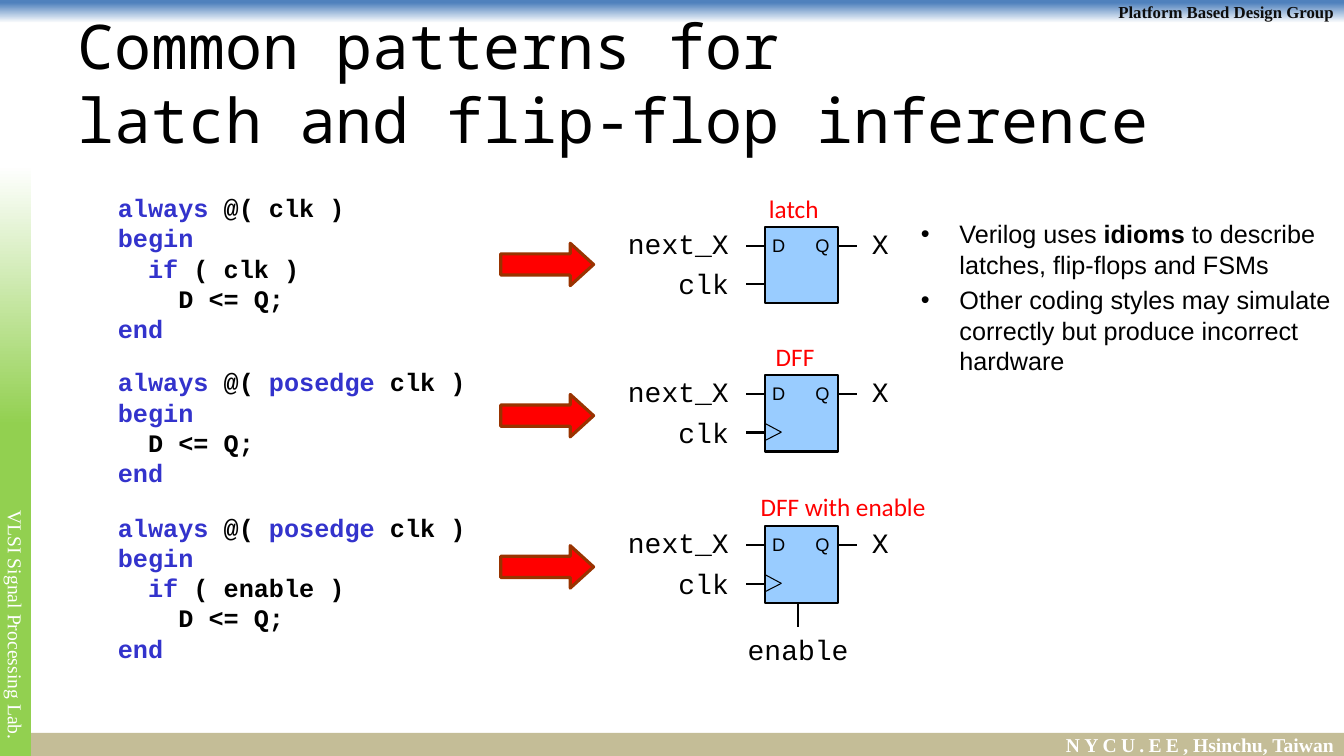
from lxml.etree import SubElement
from pptx import Presentation
from pptx.dml.color import RGBColor
from pptx.enum.shapes import MSO_CONNECTOR, MSO_SHAPE
from pptx.enum.text import MSO_ANCHOR, PP_ALIGN
from pptx.oxml.ns import qn
from pptx.util import Cm, Pt

BLACK = RGBColor(0x00, 0x00, 0x00)
INK = RGBColor(0x0D, 0x0D, 0x0D)
WHITE = RGBColor(0xFF, 0xFF, 0xFF)
BLUE = RGBColor(0x4F, 0x81, 0xBD)
GREEN = RGBColor(0x92, 0xD0, 0x50)
TAN = RGBColor(0xC4, 0xBD, 0x97)
KEYWORD = RGBColor(0x33, 0x33, 0xCC)
CELL = RGBColor(0x99, 0xCC, 0xFF)
RED = RGBColor(0xFF, 0x00, 0x00)
BROWN = RGBColor(0x99, 0x33, 0x00)
LEFT, CENTER, RIGHT = PP_ALIGN.LEFT, PP_ALIGN.CENTER, PP_ALIGN.RIGHT

prs = Presentation()
prs.slide_width, prs.slide_height = Cm(33.87), Cm(19.05)
s = prs.slides.add_slide(prs.slide_layouts[6])


def write(sp, lines, font, size, align=LEFT, wrap=False, inset=(0.25, 0.13, 0.25, 0.13)):
    """Fill a shape with paragraphs of (text, colour, bold) runs; None is a line break."""
    tf = sp.text_frame
    tf.word_wrap = wrap
    tf.margin_left, tf.margin_top, tf.margin_right, tf.margin_bottom = map(Cm, inset)
    for i, runs in enumerate(lines):
        p = tf.paragraphs[0] if i == 0 else tf.add_paragraph()
        p.alignment = align
        for run in runs:
            if run is None:
                p.add_line_break()
                continue
            r = p.add_run()
            r.text, color, bold = run
            r.font.name, r.font.size, r.font.bold = font, Pt(size), bold
            r.font.color.rgb = color
    return tf


def line(x1, y1, x2, y2, width=1.5):
    c = s.shapes.add_connector(MSO_CONNECTOR.STRAIGHT, Cm(x1), Cm(y1), Cm(x2), Cm(y2))
    c.line.color.rgb = BLACK
    c.line.width = Pt(width)
    SubElement(c._element.spPr, qn("a:effectLst"))


# Bars along the top, bottom and left edges
bars = []
for x, y, w, h in [(0, 0, 33.87, 0.58), (0, 18.47, 33.87, 0.58), (0, 4.17, 0.79, 14.88)]:
    sp = s.shapes.add_shape(MSO_SHAPE.RECTANGLE, Cm(x), Cm(y), Cm(w), Cm(h))
    sp.shadow.inherit = False
    sp.line.fill.background()
    sp.text_frame.vertical_anchor = MSO_ANCHOR.MIDDLE
    bars.append(sp)
top, bottom, side = bars

for sp, color, start, angle in [(top, BLUE, 0.12, 270), (side, GREEN, 0.56, 90)]:
    sp.fill.gradient()
    sp.fill.gradient_angle = angle
    first, last = sp.fill.gradient_stops
    first.color.rgb, first.position = color, start
    last.color.rgb, last.position = WHITE, 1
bottom.fill.solid()
bottom.fill.fore_color.rgb = TAN

write(top, [[("Platform Based Design Group", INK, True)]], "Times New Roman", 12, RIGHT, True)
tf = write(bottom, [[("NYCU.EE", WHITE, True), (", Hsinchu, Taiwan", WHITE, True)]],
           "Times New Roman", 14, RIGHT, True)
tf.paragraphs[0].runs[0]._r.get_or_add_rPr().set("spc", "300")
write(side, [[("VLSI Signal Processing Lab.", WHITE, False)]], "Times New Roman", 14,
      CENTER, True, (0.25, 8.41, 0.25, 0.13))
side._element.txBody.bodyPr.set("vert", "vert")

# Title
title = s.shapes.add_textbox(Cm(1.7), Cm(0.76), Cm(30.48), Cm(2.62))
title.text_frame.vertical_anchor = MSO_ANCHOR.MIDDLE
write(title, [[("Common patterns for", BLACK, False), None,
               ("latch and flip-flop inference", BLACK, False)]],
      "Noto Sans Mono", 44, wrap=True)

# Verilog code, with runs separated by "|"
KEYWORDS = {"always", "begin", "if", "posedge", "end"}
LATCH = ["always| @( clk )", "begin", "  if |( clk )", "    D <= Q;", "end"]
DFF = ["always| @( |posedge |clk )", "begin", "  D <= Q;", "end"]
ENABLED = ["always| @( |posedge |clk )", "begin", "  if |( enable )", "    D <= Q;", "end"]
for y, h, code in [(4.42, 4.67, LATCH), (8.81, 3.89, DFF), (12.47, 4.67, ENABLED)]:
    lines = [[(t, KEYWORD if t.strip() in KEYWORDS else BLACK, True) for t in row.split("|")]
             for row in code]
    tb = s.shapes.add_textbox(Cm(2.54), Cm(y), Cm(10.36), Cm(h))
    write(tb, lines, "Courier New", 18, wrap=True, inset=(0.43,) * 4)

# Red arrows from code to circuit
for i in range(3):
    sp = s.shapes.add_shape(MSO_SHAPE.RIGHT_ARROW, Cm(12.62), Cm(6.13 + 3.81 * i),
                            Cm(2.34), Cm(1.07))
    sp.adjustments[1] = 0.55
    sp.shadow.inherit = False
    sp.fill.solid()
    sp.fill.fore_color.rgb = RED
    sp.line.color.rgb = BROWN
    sp.line.width = Pt(2.25)

# Storage cells: box, pins, clock mark, pin and signal names
for y, clocked in [(5.71, False), (9.45, True), (13.26, True)]:
    sp = s.shapes.add_shape(MSO_SHAPE.RECTANGLE, Cm(19.28), Cm(y), Cm(1.85), Cm(1.93))
    sp.shadow.inherit = False
    sp.fill.solid()
    sp.fill.fore_color.rgb = CELL
    sp.line.color.rgb = BLACK
    sp.line.width = Pt(1.5)
    for x, pin in [(19.46, "D"), (20.55, "Q")]:
        tb = s.shapes.add_textbox(Cm(x), Cm(y + 0.19), Cm(0.46), Cm(0.56))
        write(tb, [[(pin, BLACK, False)]], "Arial", 13, inset=(0,) * 4)
    for x1, x2, dy in [(18.8, 19.28, 0.48), (21.13, 21.59, 0.48), (18.8, 19.28, 1.45)]:
        line(x1, y + dy, x2, y + dy)
    if clocked:
        for dy in (1.22, 1.65):
            line(19.28, y + dy, 19.69, y + 1.44, 0.75)
    for x, dy, w, name, align in [(21.72, -0.14, 0.94, "X", LEFT),
                                  (15.57, -0.14, 3.05, "next_X", RIGHT),
                                  (16.84, 0.88, 1.78, "clk", RIGHT)]:
        tb = s.shapes.add_textbox(Cm(x), Cm(y + dy), Cm(w), Cm(1.09))
        write(tb, [[(name, BLACK, False)]], "Courier New", 20, align)

# Enable pin
line(20.12, 15.17, 20.12, 15.8)
tb = s.shapes.add_textbox(Cm(18.59), Cm(15.82), Cm(3.05), Cm(1.09))
write(tb, [[("enable", BLACK, False)]], "Courier New", 20, CENTER)

# Cell captions
for x, y, w, name in [(19.13, 4.75, 1.78, "latch"), (19.3, 8.48, 1.5, "DFF"),
                      (18.92, 12.24, 4.72, "DFF with enable")]:
    tb = s.shapes.add_textbox(Cm(x), Cm(y), Cm(w), Cm(1.02))
    write(tb, [[(name, RED, False)]], "Calibri", 18)

# Bulleted remarks
remarks = [
    [("Verilog uses ", BLACK, False), ("idioms", BLACK, True),
     (" to describe latches, flip-flops and FSMs", BLACK, False)],
    [("Other coding styles may simulate correctly but produce incorrect hardware",
      BLACK, False)],
]
tb = s.shapes.add_textbox(Cm(22.96), Cm(5.38), Cm(10.91), Cm(4.27))
tf = write(tb, remarks, "Arial", 18, wrap=True, inset=(0.25, 0.13, 0.06, 0.13))
tf.paragraphs[1].space_before = Pt(4)
for p in tf.paragraphs:
    pPr = p._p.get_or_add_pPr()
    pPr.set("marL", str(Cm(0.97)))
    pPr.set("indent", str(-Cm(0.97)))
    SubElement(pPr, qn("a:buFont")).set("typeface", "Arial")
    SubElement(pPr, qn("a:buChar")).set("char", "•")

prs.save("out.pptx")
